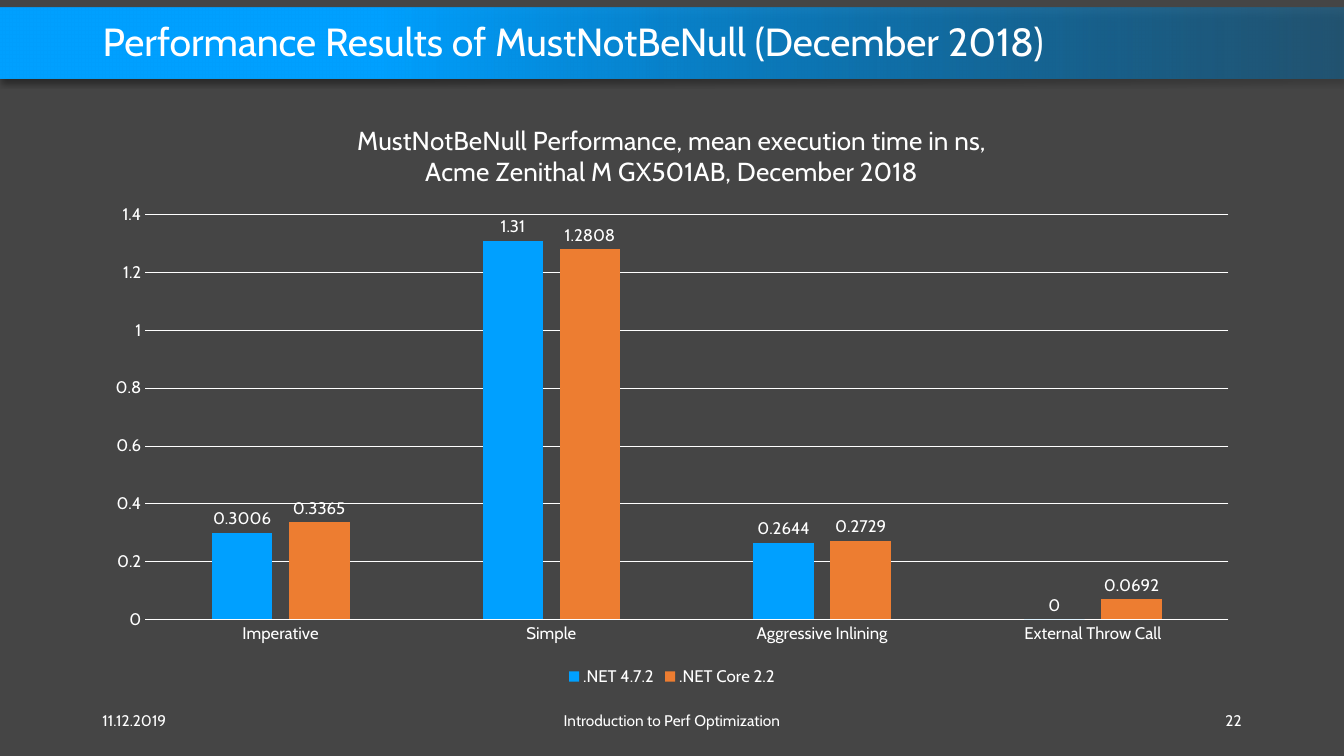
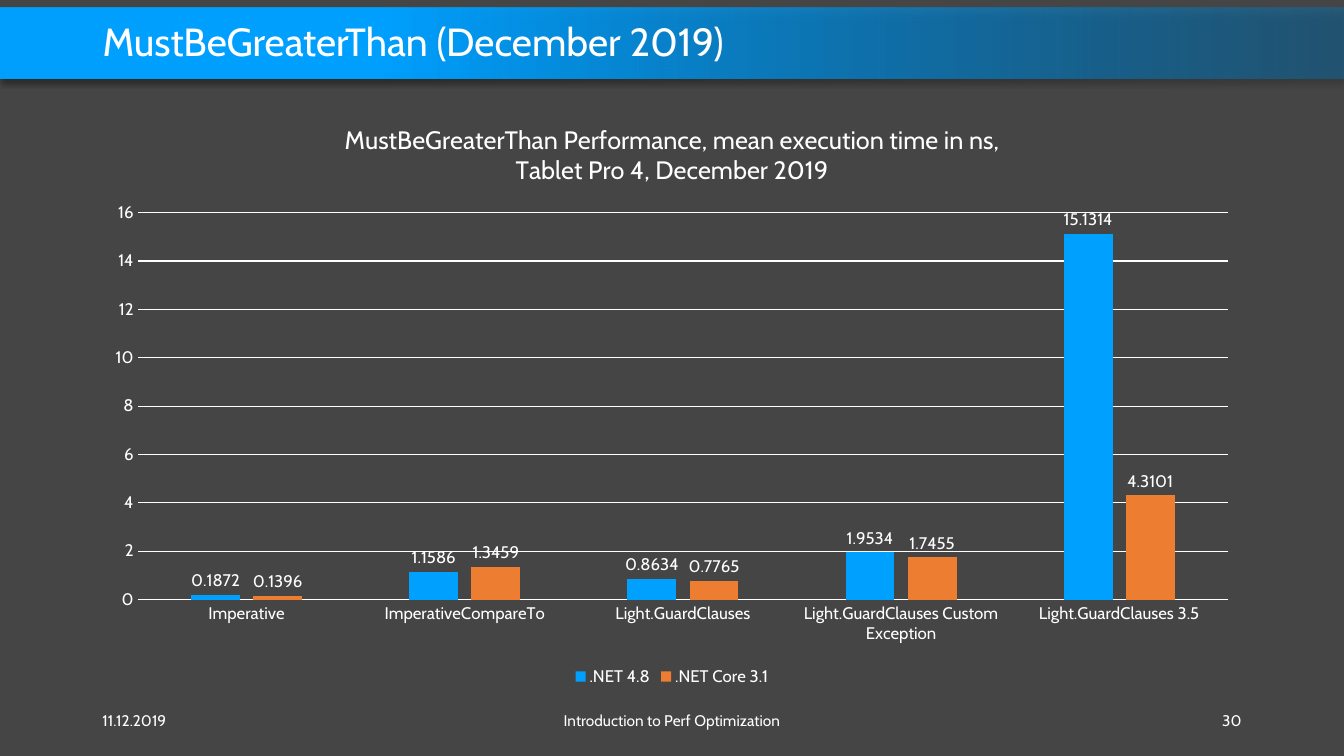
from dataclasses import dataclass

from lxml.etree import SubElement
from pptx import Presentation
from pptx.chart.data import CategoryChartData
from pptx.dml.color import RGBColor
from pptx.enum.chart import XL_CHART_TYPE as ChartType
from pptx.enum.chart import XL_LABEL_POSITION as LabelPos
from pptx.enum.chart import XL_LEGEND_POSITION as LegendPos
from pptx.enum.chart import XL_TICK_MARK as TickMark
from pptx.enum.shapes import MSO_SHAPE as Preset
from pptx.enum.text import MSO_ANCHOR as Anchor
from pptx.enum.text import MSO_AUTO_SIZE as AutoSize
from pptx.enum.text import PP_ALIGN as Align
from pptx.oxml.ns import qn
from pptx.util import Cm, Pt


@dataclass(frozen=True)
class Theme:
    font: str = "Cabin"
    background: RGBColor = RGBColor(0x45, 0x45, 0x45)
    text: RGBColor = RGBColor(0xFF, 0xFF, 0xFF)
    band_dark: RGBColor = RGBColor(0x00, 0x78, 0xBF)
    accent: RGBColor = RGBColor(0x00, 0xA0, 0xFF)
    contrast: RGBColor = RGBColor(0xED, 0x7D, 0x31)
    title_size: float = 28
    chart_size: float = 10
    label_size: float = 12
    footer_size: float = 11


@dataclass(frozen=True)
class Box:
    """A region of the slide, in centimetres."""
    left: float
    top: float
    width: float
    height: float

    @property
    def lengths(self):
        return Cm(self.left), Cm(self.top), Cm(self.width), Cm(self.height)


@dataclass(frozen=True)
class Benchmark:
    number: int
    title: str
    heading: tuple
    heading_size: float
    methods: tuple
    timings: dict
    axis_max: float
    axis_step: float


THEME = Theme()
PAGE = Box(0, 0, 33.87, 19.05)
MARGIN = 2.33
CONTENT_WIDTH = PAGE.width - 2 * MARGIN
BAND = Box(0, 0.2, PAGE.width, 1.78)
TITLE = Box(MARGIN, 0.41, CONTENT_WIDTH, 1.4)
CHART = Box(MARGIN, 2.59, CONTENT_WIDTH, 14.81)
FOOTER = Box(MARGIN, 17.65, CONTENT_WIDTH, 1.02)
DATE = "11.12.2019"
TALK = "Introduction to Perf Optimization"

BENCHMARKS = (
    Benchmark(
        22, "Performance Results of MustNotBeNull (December 2018)",
        ("MustNotBeNull Performance, mean execution time in ns,",
         "Acme Zenithal M GX501AB, December 2018"), 18.6,
        ("Imperative", "Simple", "Aggressive Inlining", "External Throw Call"),
        {".NET 4.7.2": (0.3006, 1.31, 0.2644, 0),
         ".NET Core 2.2": (0.3365, 1.2808, 0.2729, 0.0692)},
        1.4, 0.2),
    Benchmark(
        30, "MustBeGreaterThan (December 2019)",
        ("MustBeGreaterThan Performance, mean execution time in ns,",
         "Tablet Pro 4, December 2019"), 18,
        ("Imperative", "ImperativeCompareTo", "Light.GuardClauses",
         "Light.GuardClauses Custom Exception", "Light.GuardClauses 3.5"),
        {".NET 4.8": (0.1872, 1.1586, 0.8634, 1.9534, 15.1314),
         ".NET Core 3.1": (0.1396, 1.3459, 0.7765, 1.7455, 4.3101)},
        16, 2),
)


def style_font(font, size):
    font.name = THEME.font
    font.size = Pt(size)
    font.bold = False
    font.color.rgb = THEME.text


def style_line(line):
    line.color.rgb = THEME.text
    line.width = Pt(0.75)


def set_alpha(color_element, percent):
    SubElement(color_element, qn("a:alpha"), val=str(percent * 1000))


def add_band(slide, box):
    band = slide.shapes.add_shape(Preset.RECTANGLE, *box.lengths)
    band.line.fill.background()
    # Gradient runs from the translucent right edge to the solid left side
    band.fill.gradient()
    band.fill.gradient_angle = 180
    stops = band.fill.gradient_stops
    for stop, position, color in zip(stops, (0, 0.72),
                                     (THEME.band_dark, THEME.accent)):
        stop.position = position
        stop.color.rgb = color
    properties = band.element.spPr
    set_alpha(next(properties.iter(qn("a:srgbClr"))), 40)
    # Soft shadow straight below
    band.shadow.inherit = False
    shadow = SubElement(properties.find(qn("a:effectLst")), qn("a:outerShdw"),
                        blurRad=str(Pt(4)), dist=str(Pt(3)),
                        dir=str(90 * 60000), algn="t", rotWithShape="0")
    set_alpha(SubElement(shadow, qn("a:srgbClr"), val="000000"), 40)
    # Behind the title placeholder
    band.element.getparent().insert(2, band.element)


def fill_title(title, text, box):
    title.left, title.top, title.width, title.height = box.lengths
    frame = title.text_frame
    frame.text = text
    frame.word_wrap = True
    frame.auto_size = AutoSize.NONE
    frame.vertical_anchor = Anchor.MIDDLE
    paragraph = frame.paragraphs[0]
    paragraph.alignment = Align.LEFT
    paragraph.line_spacing = 0.9
    style_font(paragraph.font, THEME.title_size)


def add_footer(slide, number, box):
    side, middle = 7.62, 11.43
    parts = (
        (DATE, 0, side, Align.LEFT),
        (TALK, (box.width - middle) / 2, middle, Align.CENTER),
        (str(number), box.width - side, side, Align.RIGHT),
    )
    for text, offset, width, alignment in parts:
        place = Box(box.left + offset, box.top, width, box.height)
        frame = slide.shapes.add_textbox(*place.lengths).text_frame
        frame.text = text
        frame.word_wrap = True
        frame.vertical_anchor = Anchor.MIDDLE
        paragraph = frame.paragraphs[0]
        paragraph.alignment = alignment
        style_font(paragraph.font, THEME.footer_size)


def style_heading(chart, lines, size):
    chart.has_title = True
    chart.chart_title.include_in_layout = False
    frame = chart.chart_title.text_frame
    frame.text = "\n".join(lines)
    for paragraph in frame.paragraphs:
        style_font(paragraph.font, size)


def style_axes(chart, maximum, step):
    methods, times = chart.category_axis, chart.value_axis
    for axis in (methods, times):
        axis.major_tick_mark = axis.minor_tick_mark = TickMark.NONE
        style_font(axis.tick_labels.font, THEME.label_size)
    style_line(methods.format.line)
    times.format.line.fill.background()
    times.has_major_gridlines = True
    style_line(times.major_gridlines.format.line)
    times.minimum_scale = 0
    times.maximum_scale = maximum
    times.major_unit = step


def style_columns(plot):
    plot.vary_by_categories = False
    plot.gap_width = 219
    plot.overlap = -27
    for runtime, color in zip(plot.series, (THEME.accent, THEME.contrast)):
        runtime.invert_if_negative = False
        runtime.format.fill.solid()
        runtime.format.fill.fore_color.rgb = color
        labels = runtime.data_labels
        labels.show_value = True
        labels.position = LabelPos.OUTSIDE_END
        style_font(labels.font, THEME.label_size)


def add_timing_chart(slide, benchmark, box):
    timings = CategoryChartData()
    timings.categories = benchmark.methods
    for runtime, values in benchmark.timings.items():
        timings.add_series(runtime, values)
    chart = slide.shapes.add_chart(
        ChartType.COLUMN_CLUSTERED, *box.lengths, timings).chart
    style_font(chart.font, THEME.chart_size)
    style_heading(chart, benchmark.heading, benchmark.heading_size)
    style_axes(chart, benchmark.axis_max, benchmark.axis_step)
    style_columns(chart.plots[0])
    # Legend below the plot
    chart.has_legend = True
    chart.legend.position = LegendPos.BOTTOM
    chart.legend.include_in_layout = False
    style_font(chart.legend.font, THEME.label_size)


def add_benchmark_slide(deck, benchmark):
    title_only = deck.slide_layouts[5]
    slide = deck.slides.add_slide(title_only)
    add_band(slide, BAND)
    fill_title(slide.shapes.title, benchmark.title, TITLE)
    add_timing_chart(slide, benchmark, CHART)
    add_footer(slide, benchmark.number, FOOTER)


def main():
    deck = Presentation()
    deck.slide_width, deck.slide_height = Cm(PAGE.width), Cm(PAGE.height)
    backdrop = deck.slide_master.background.fill
    backdrop.solid()
    backdrop.fore_color.rgb = THEME.background
    for benchmark in BENCHMARKS:
        add_benchmark_slide(deck, benchmark)
    deck.save("out.pptx")


if __name__ == "__main__":
    main()
